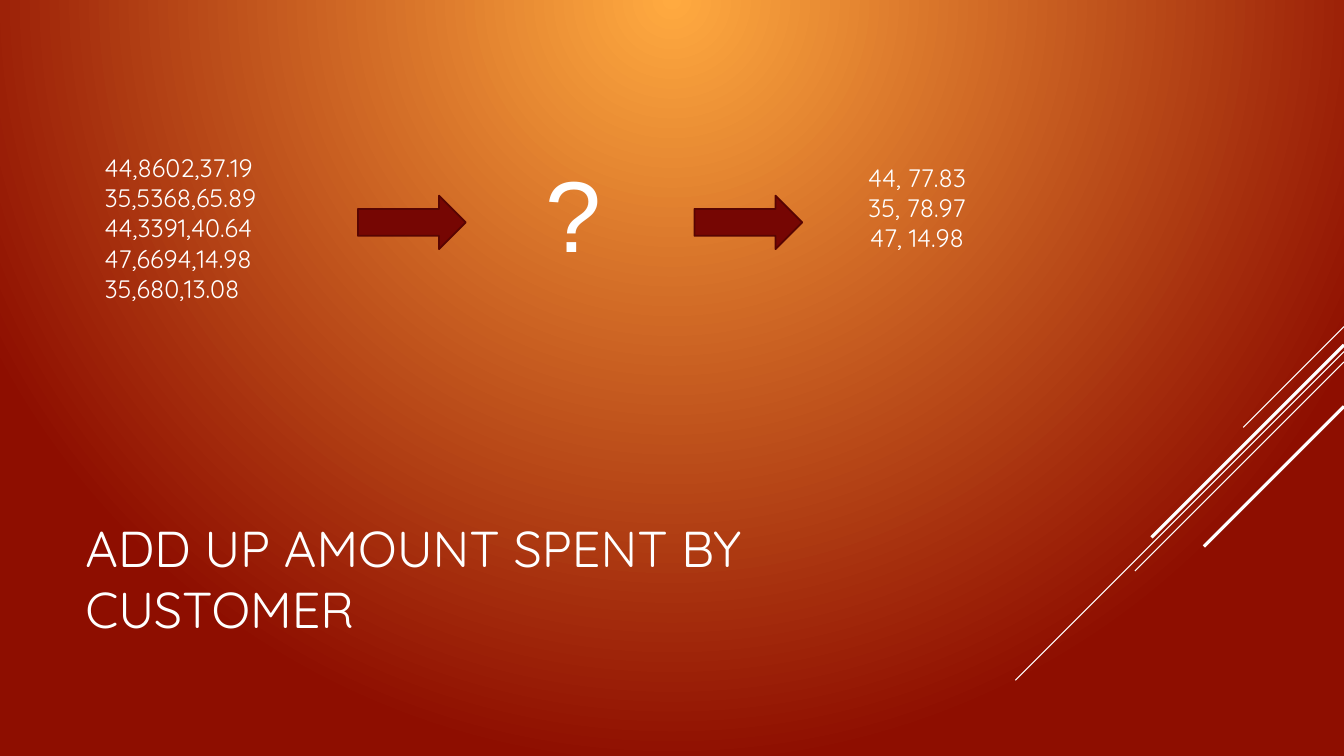
from dataclasses import dataclass

from lxml.etree import SubElement
from pptx import Presentation
from pptx.dml.color import RGBColor
from pptx.enum.shapes import MSO_CONNECTOR, MSO_SHAPE
from pptx.enum.text import MSO_ANCHOR, MSO_AUTO_SIZE, PP_ALIGN
from pptx.oxml.ns import qn
from pptx.slide import Slide
from pptx.text.text import TextFrame
from pptx.util import Cm, Pt

PAGE_WIDTH, PAGE_HEIGHT = 33.87, 19.05


@dataclass(frozen=True)
class Theme:
    """Colours, fonts and type sizes of the slide."""

    glow: RGBColor = RGBColor(0xFF, 0xAA, 0x40)
    edge: RGBColor = RGBColor(0x8E, 0x0E, 0x00)
    white: RGBColor = RGBColor(0xFF, 0xFF, 0xFF)
    arrow_fill: RGBColor = RGBColor(0x76, 0x06, 0x03)
    arrow_line: RGBColor = RGBColor(0x57, 0x04, 0x02)
    font: str = "Quicksand"
    symbol_font: str = "Arial"
    title_size: int = 36
    body_size: int = 18
    symbol_size: int = 72


THEME = Theme()


@dataclass(frozen=True)
class TextBlock:
    """A text box, with lengths in centimetres."""

    text: str
    left: float
    top: float
    height: float
    align: PP_ALIGN = PP_ALIGN.CENTER
    font: str = THEME.font
    size: int = THEME.body_size
    width: float = 7.62


@dataclass(frozen=True)
class Ray:
    """A 45-degree line falling leftwards from the right edge of the page."""

    top: float
    reach: float
    weight: float = 0.75


TITLE = "ADD UP AMOUNT SPENT BY CUSTOMER"
PURCHASES = "44,8602,37.19\n35,5368,65.89\n44,3391,40.64\n47,6694,14.98\n35,680,13.08"
TOTALS = "44, 77.83\n35, 78.97\n47, 14.98"

BLOCKS = (
    TextBlock(TOTALS, 19.3, 3.96, 2.57),
    TextBlock(PURCHASES, 2.39, 3.71, 5.64, align=PP_ALIGN.LEFT),
    TextBlock("?", 10.64, 3.71, 3.33, font=THEME.symbol_font, size=THEME.symbol_size),
)
RAYS = (
    Ray(8.23, 2.54),
    Ray(8.86, 8.28),
    Ray(9.12, 5.27),
    Ray(8.69, 4.85, weight=2.25),
    Ray(10.24, 3.53, weight=2.25),
)
ARROW_LEFTS = (9.02, 17.5)


def paint_background(slide: Slide) -> None:
    """Fill the page with a circular gradient centred on its top edge."""
    fill = slide.background.fill
    fill.gradient()
    for stop, color, position in zip(fill.gradient_stops, (THEME.glow, THEME.edge), (0, 1)):
        stop.color.rgb = color
        stop.position = position
    linear = slide.element.find(".//" + qn("a:lin"))
    gradient = linear.getparent()
    circle = SubElement(gradient, qn("a:path"), {"path": "circle"})
    SubElement(circle, qn("a:fillToRect"), {"l": "0", "t": "0", "r": "0", "b": "100000"})
    gradient.replace(linear, circle)


def format_text(frame: TextFrame, align: PP_ALIGN, font: str, size: int) -> None:
    """Align every paragraph and give its spans one white font."""
    frame.word_wrap = True
    for para in frame.paragraphs:
        para.alignment = align
        for span in para.runs:
            span.font.name = font
            span.font.size = Pt(size)
            span.font.color.rgb = THEME.white


def draw_ray(slide: Slide, ray: Ray) -> None:
    """Draw one diagonal line from the right edge."""
    line = slide.shapes.add_connector(
        MSO_CONNECTOR.STRAIGHT,
        Cm(PAGE_WIDTH),
        Cm(ray.top),
        Cm(PAGE_WIDTH - ray.reach),
        Cm(ray.top + ray.reach),
    )
    line.line.color.rgb = THEME.white
    line.line.width = Pt(ray.weight)
    SubElement(line.element.spPr, qn("a:effectLst"))


def write_title(slide: Slide) -> None:
    """Place and format the title placeholder."""
    title = slide.shapes.title
    title.left, title.top, title.width, title.height = Cm(1.9), Cm(12.47), Cm(23.7), Cm(4.19)
    frame = title.text_frame
    frame.text = TITLE
    frame.vertical_anchor = MSO_ANCHOR.MIDDLE
    frame.auto_size = MSO_AUTO_SIZE.NONE
    format_text(frame, PP_ALIGN.LEFT, THEME.font, THEME.title_size)


def draw_block(slide: Slide, block: TextBlock) -> None:
    """Add one text box."""
    box = slide.shapes.add_textbox(
        Cm(block.left), Cm(block.top), Cm(block.width), Cm(block.height)
    )
    box.text_frame.text = block.text
    box.text_frame.auto_size = MSO_AUTO_SIZE.SHAPE_TO_FIT_TEXT
    format_text(box.text_frame, block.align, block.font, block.size)


def draw_arrow(slide: Slide, left: float) -> None:
    """Add one block arrow between two steps."""
    arrow = slide.shapes.add_shape(
        MSO_SHAPE.RIGHT_ARROW, Cm(left), Cm(4.93), Cm(2.72), Cm(1.35)
    )
    arrow.shadow.inherit = False
    arrow.fill.solid()
    arrow.fill.fore_color.rgb = THEME.arrow_fill
    arrow.line.color.rgb = THEME.arrow_line
    arrow.line.width = Pt(1.25)


def build_deck() -> None:
    """Build the slide and save the deck."""
    deck = Presentation()
    deck.slide_width, deck.slide_height = Cm(PAGE_WIDTH), Cm(PAGE_HEIGHT)
    page = deck.slides.add_slide(deck.slide_layouts.get_by_name("Title Only"))
    paint_background(page)
    write_title(page)
    for ray in RAYS:
        draw_ray(page, ray)
    for block in BLOCKS:
        draw_block(page, block)
    for left in ARROW_LEFTS:
        draw_arrow(page, left)
    deck.save("out.pptx")


build_deck()
